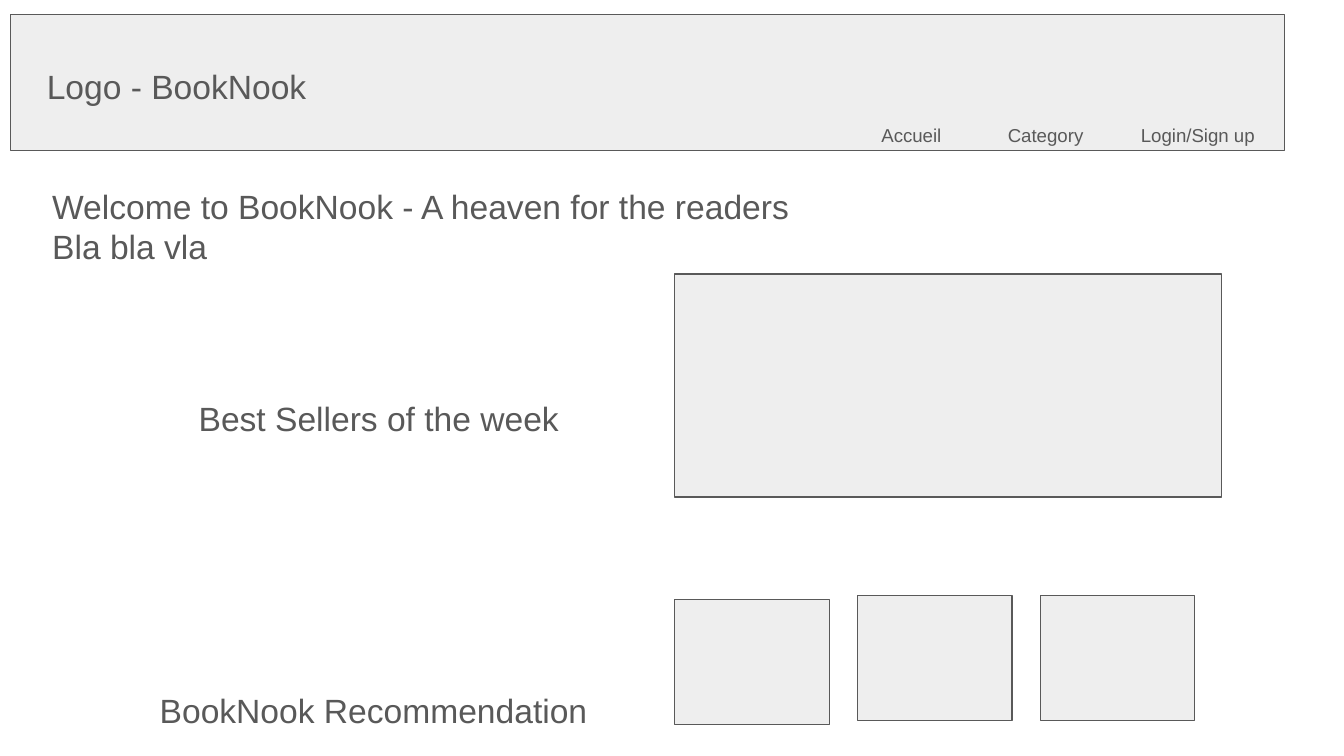
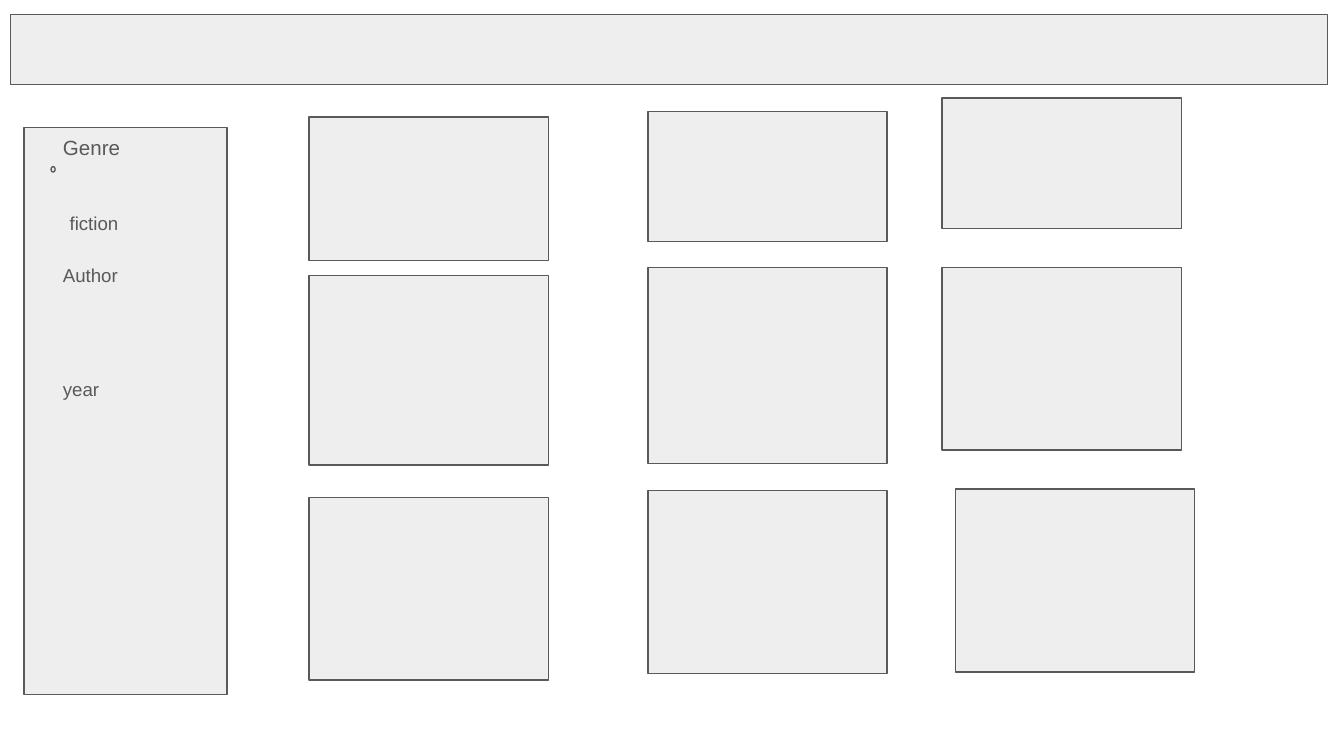
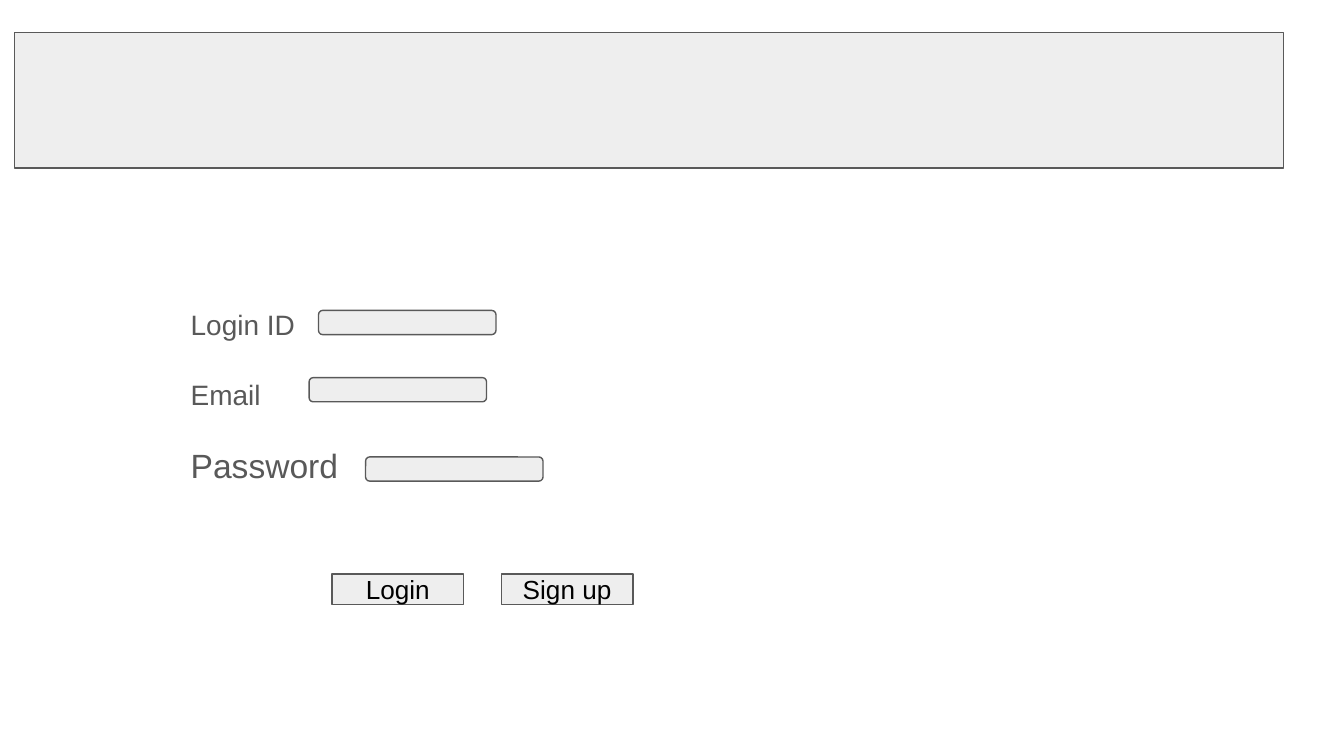
"""Build three wireframe slides of an online bookshop: home, catalogue and login."""
from pptx import Presentation
from pptx.dml.color import RGBColor
from pptx.enum.shapes import MSO_SHAPE as Shape
from pptx.enum.text import MSO_ANCHOR as Anchor, PP_ALIGN as Align
from pptx.util import Pt

PX = 9144
INSET = 10 * PX
FONT = "Arial"
PANEL = RGBColor(0xEE, 0xEE, 0xEE)
GREY = RGBColor(0x59, 0x59, 0x59)
BLACK = RGBColor(0x00, 0x00, 0x00)


def add_panel(slide, left, top, width, height, kind=Shape.RECTANGLE):
    shape = slide.shapes.add_shape(kind, left * PX, top * PX, width * PX, height * PX)
    shape.shadow.inherit = False
    shape.fill.solid()
    shape.fill.fore_color.rgb = PANEL
    shape.line.color.rgb = GREY
    shape.line.width = Pt(0.75)
    return shape


def write(shape, lines, size, color=GREY, align=Align.LEFT, anchor=Anchor.TOP):
    frame = shape.text_frame
    frame.word_wrap = True
    frame.vertical_anchor = anchor
    frame.margin_left = frame.margin_right = INSET
    frame.margin_top = frame.margin_bottom = INSET
    for index, line in enumerate(lines):
        paragraph = frame.add_paragraph() if index else frame.paragraphs[0]
        paragraph.alignment = align
        run = paragraph.add_run()
        run.text = line
        run.font.name = FONT
        run.font.size = Pt(size)
        run.font.color.rgb = color


presentation = Presentation()
presentation.slide_width = 1000 * PX
presentation.slide_height = presentation.slide_width * 9 // 16
blank = presentation.slide_layouts[6]

headers = [(8, 11, 948, 101), (8, 11, 980, 52), (11, 24, 944, 101)]
slides = []
for header in headers:
    slide = presentation.slides.add_slide(blank)
    add_panel(slide, *header)
    slides.append(slide)
home, catalogue, login = slides

add_panel(home, 502, 204, 407, 166)
for column, top in enumerate([446, 443, 443]):
    add_panel(home, 502 + column * 136, top, 115, 93)

add_panel(catalogue, 18, 95, 151, 422)
marker = add_panel(catalogue, 38, 124, 3, 4, Shape.FLOWCHART_CONNECTOR)
marker.rotation = 180
book_columns = [
    [(230, 87, 107), (230, 205, 141), (230, 370, 136)],
    [(482, 83, 97), (482, 199, 146), (482, 365, 136)],
    [(701, 73, 97), (701, 199, 136), (711, 364, 136)],
]
for column in book_columns:
    for left, top, height in column:
        add_panel(catalogue, left, top, 178, height)

for left, top in [(237, 231), (230, 281), (272, 340)]:
    field = add_panel(login, left, top, 132, 18, Shape.ROUNDED_RECTANGLE)
    field.adjustments[0] = 0.17
for column, caption in enumerate(["Login", "Sign up"]):
    button = add_panel(login, 247 + column * 126, 427, 98, 23)
    write(button, [caption], 14, BLACK, Align.CENTER, Anchor.MIDDLE)

labels = [
    (home, 138, 286, 296, 43, 18, ["Best Sellers of the week"]),
    (home, 109, 503, 366, 35, 18, ["BookNook Recommendation"]),
    (home, 29, 128, 874, 101, 18,
     ["Welcome to BookNook - A heaven for the readers", "Bla bla vla"]),
    (home, 646, 84, 73, 25, 10, ["Accueil"]),
    (home, 740, 84, 79, 25, 10, ["Category"]),
    (home, 839, 84, 115, 25, 10, ["Login/Sign up"]),
    (home, 25, 39, 234, 54, 18, ["Logo - BookNook"]),
    (catalogue, 37, 92, 90, 18, 11, ["Genre"]),
    (catalogue, 42, 153, 67, 13, 10, ["fiction"]),
    (catalogue, 37, 192, 90, 13, 10, ["Author"]),
    (catalogue, 37, 273, 104, 18, 10, ["year"]),
    (login, 132, 223, 98, 16, 15, ["Login ID"]),
    (login, 132, 273, 98, 18, 15, ["Email"]),
    (login, 132, 321, 132, 23, 18, ["Password"]),
]
for slide, left, top, width, height, size, lines in labels:
    label = slide.shapes.add_textbox(left * PX, top * PX, width * PX, height * PX)
    write(label, lines, size)

presentation.save("out.pptx")
